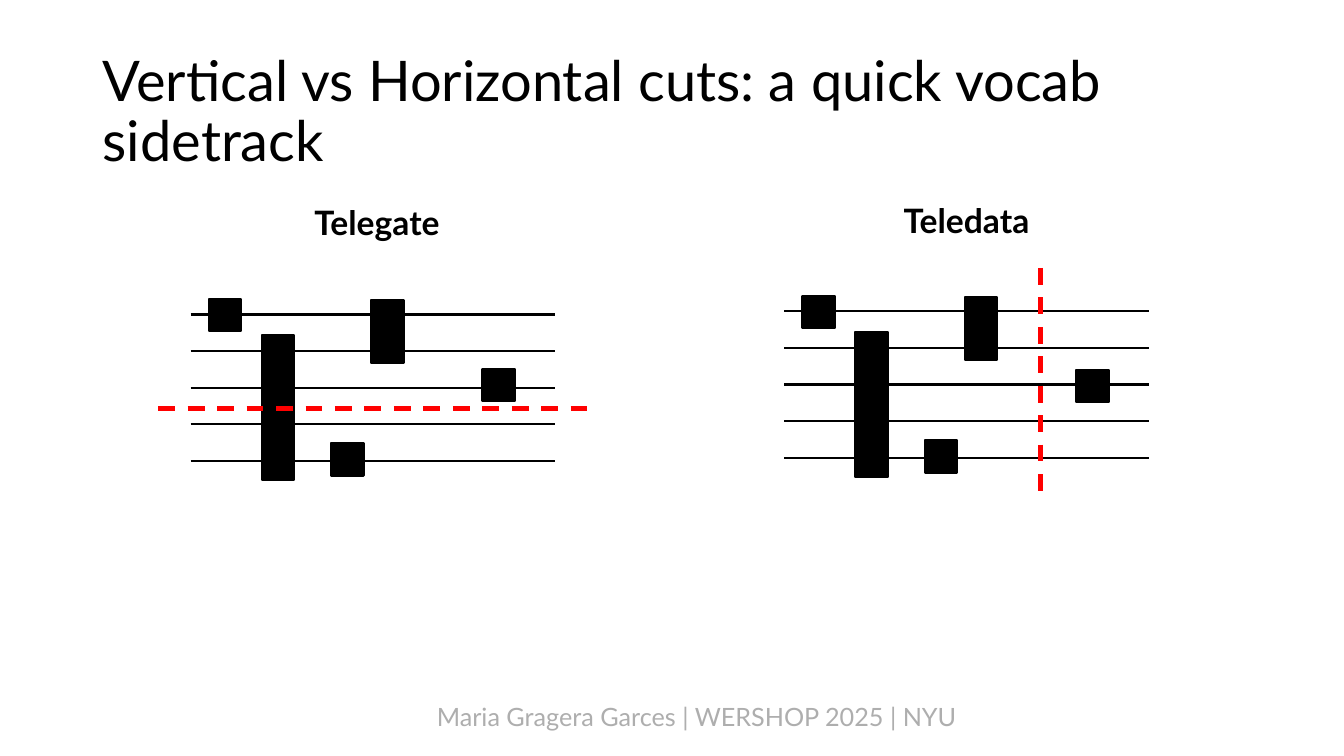
from pptx import Presentation
from pptx.dml.color import RGBColor
from pptx.enum.dml import MSO_LINE
from pptx.enum.shapes import MSO_CONNECTOR as CONN, MSO_SHAPE as SHAPE
from pptx.enum.text import MSO_ANCHOR as ANCHOR, PP_ALIGN as ALIGN
from pptx.oxml.ns import qn
from pptx.util import Inches, Pt
from lxml import etree

WIDTH, HEIGHT = 13.33, 7.5
COL, ROW = 0.32, 1.45 / 4
WIRES, WIRE_COLS = 5, 11.31
BLACK, RED, GREY = "000000", "FF0000", "AEAEAE"


def color(hex_code):
    return RGBColor.from_string(hex_code)


def add_text(s, text, x, y, w, h, size, fill=BLACK, bold=False,
             align=ALIGN.CENTER, anchor=ANCHOR.TOP, spacing=None):
    box = s.shapes.add_textbox(Inches(WIDTH * x / 100), Inches(HEIGHT * y / 100),
                               Inches(WIDTH * w / 100), Inches(HEIGHT * h / 100))
    tf = box.text_frame
    tf.word_wrap = True
    tf.vertical_anchor = anchor
    p = tf.paragraphs[0]
    p.text = text
    p.alignment = align
    p.line_spacing = spacing
    font = p.runs[0].font
    font.name, font.size, font.bold = "Lato", Pt(size), bold
    font.color.rgb = color(fill)


def grid_point(origin, col, row):
    left, top = origin
    return Inches(left + col * COL), Inches(top + row * ROW)


def add_line(s, origin, start, end, stroke=BLACK, width=1.5, dash=None):
    line = s.shapes.add_connector(CONN.STRAIGHT, *grid_point(origin, *start),
                                  *grid_point(origin, *end))
    line.line.color.rgb = color(stroke)
    line.line.width = Pt(width)
    if dash:
        line.line.dash_style = dash
    etree.SubElement(line._element.spPr, qn("a:effectLst"))


def add_gate(s, origin, col, row, rows):
    gate = s.shapes.add_shape(SHAPE.RECTANGLE, *grid_point(origin, col, row),
                              Inches(COL), Inches(rows * ROW))
    gate.shadow.inherit = False
    gate.fill.solid()
    gate.fill.fore_color.rgb = color(BLACK)
    gate.line.color.rgb = color(BLACK)
    gate.line.width = Pt(1.5)


def add_circuit(s, origin, lone_gate_row):
    for wire in range(WIRES):
        add_line(s, origin, (0, wire), (WIRE_COLS, wire))
    gates = [(0.56, -0.42, 0.88), (9.05, lone_gate_row, 0.88), (2.2, 0.55, 3.97),
             (5.6, -0.39, 1.71), (4.36, 3.53, 0.88)]
    for gate in gates:
        add_gate(s, origin, *gate)


def add_cut(s, origin, start, end):
    add_line(s, origin, start, end, RED, 3, MSO_LINE.DASH)


def main():
    prs = Presentation()
    prs.slide_width, prs.slide_height = Inches(WIDTH), Inches(HEIGHT)
    s = prs.slides.add_slide(prs.slide_layouts[6])

    add_text(s, "Vertical vs Horizontal cuts: a quick vocab sidetrack",
             6.9, 5.33, 86.27, 19.33, 40, align=ALIGN.LEFT,
             anchor=ANCHOR.MIDDLE, spacing=0.9)
    for heading, x, w, h in [("Telegate", 6.9, 42.3, 8.27), ("Teledata", 50.64, 42.54, 8)]:
        add_text(s, heading, x, 24.53, w, h, 24, bold=True,
                 anchor=ANCHOR.BOTTOM, spacing=0.9)

    telegate, teledata = (1.89, 3.12), (7.78, 3.09)
    add_circuit(s, telegate, 1.5)
    add_circuit(s, teledata, 1.6)
    add_cut(s, telegate, (-1, 2.57), (12.34, 2.57))
    add_cut(s, teledata, (7.94, -1.19), (7.94, 5.05))

    add_text(s, "Maria Gragera Garces | WERSHOP 2025 | NYU",
             6.9, 92.13, 89.87, 5.33, 18, GREY)
    prs.save("out.pptx")


if __name__ == "__main__":
    main()
